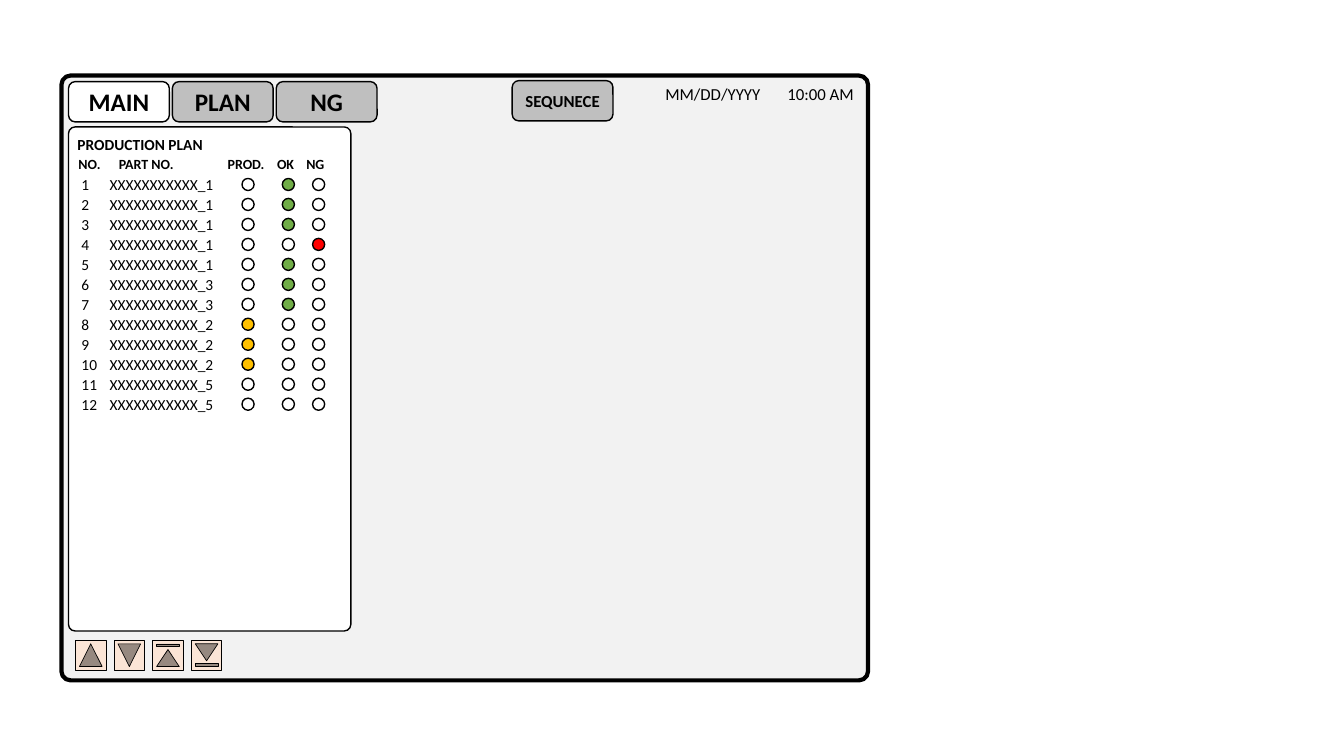
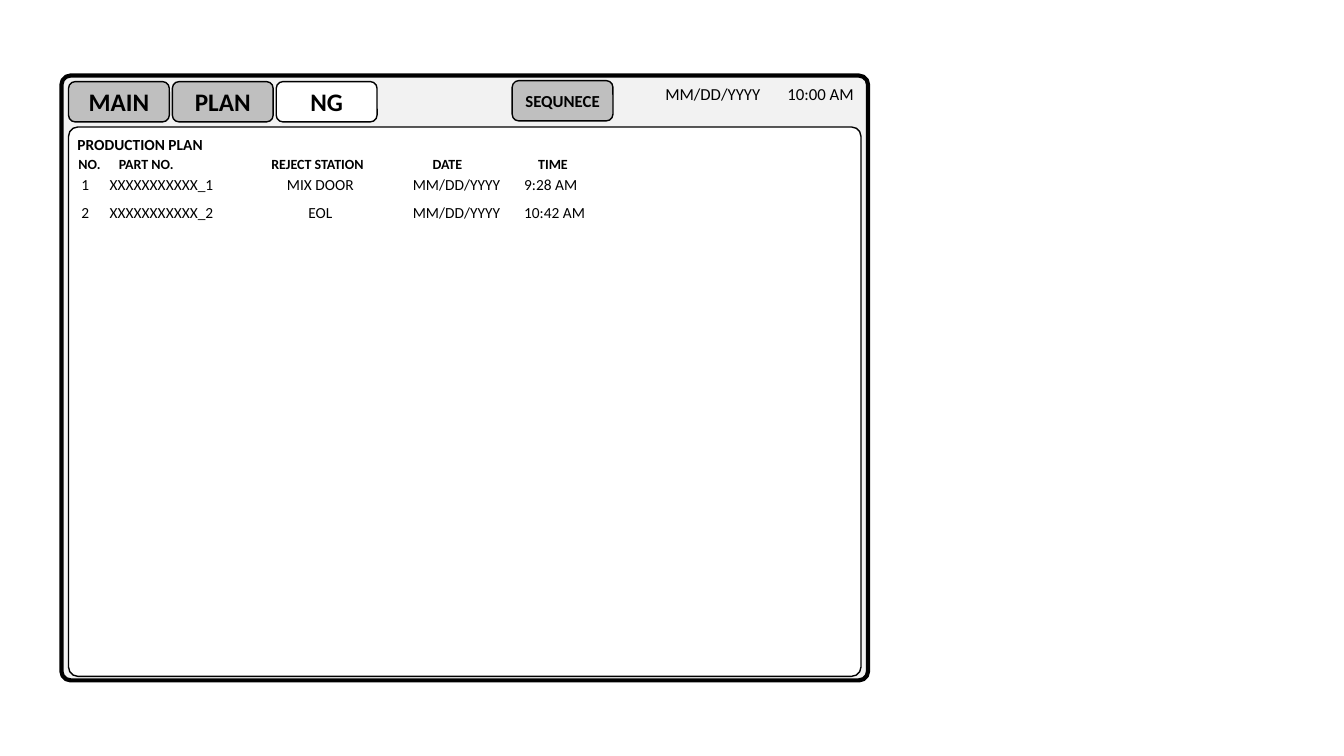
"""Build two operator-panel screens: the production plan and the NG list."""
from dataclasses import dataclass

from lxml.etree import SubElement
from pptx import Presentation
from pptx.dml.color import RGBColor as RGB
from pptx.enum.shapes import MSO_SHAPE as SHAPE
from pptx.enum.text import MSO_ANCHOR as ANCHOR, MSO_AUTO_SIZE as FIT, PP_ALIGN as ALIGN
from pptx.oxml.ns import qn
from pptx.util import Inches, Pt


@dataclass(frozen=True)
class Theme:
    """Colours and type sizes shared by both screens."""
    font: str = "Calibri"
    black: str = "000000"
    white: str = "FFFFFF"
    panel: str = "F2F2F2"
    idle: str = "BFBFBF"
    prod: str = "FFC000"
    ok: str = "70AD47"
    ng: str = "FF0000"
    scroll: str = "FBE5D6"
    tab_size: int = 18
    label_size: int = 12
    body_size: int = 11
    head_size: int = 10


T = Theme()
TABS = ("MAIN", "PLAN", "NG")
LIGHTS = {"prod": 2.4, "ok": 2.8, "ng": 3.1}
PLAN = [
    (1, "ok"), (1, "ok"), (1, "ok"), (1, "ng"), (1, "ok"), (3, "ok"),
    (3, "ok"), (2, "prod"), (2, "prod"), (2, "prod"), (5, None), (5, None),
]
REJECTS = [
    ("XXXXXXXXXXX_1", "MIX DOOR", "MM/DD/YYYY", "9:28 AM"),
    ("XXXXXXXXXXX_2", "EOL", "MM/DD/YYYY", "10:42 AM"),
]
SCROLL = [
    (SHAPE.ACTION_BUTTON_BACK_OR_PREVIOUS, 90),
    (SHAPE.ACTION_BUTTON_BACK_OR_PREVIOUS, 270),
    (SHAPE.ACTION_BUTTON_END, 270),
    (SHAPE.ACTION_BUTTON_END, 90),
]
LEFT, ROW_TOP = 0.68, 1.69
PLAN_STEP = 2.18 / 11
REJECT_STEP = 0.28
ROW_INDENT = 0.03


def apply(obj, **values):
    """Set each named value on an object."""
    for name, value in values.items():
        setattr(obj, name, value)


def write(p, text, size, bold=False):
    """Add one formatted run to a paragraph."""
    r = p.add_run()
    r.text = text
    apply(r.font, name=T.font, size=Pt(size), bold=bold)
    r.font.color.rgb = RGB.from_string(T.black)


def add_box(s, kind, at, fill, line=1, adj=None, rotation=0):
    """Add a filled and outlined preset shape."""
    sp = s.shapes.add_shape(kind, *map(Inches, at))
    sp.shadow.inherit = False
    sp.fill.solid()
    sp.fill.fore_color.rgb = RGB.from_string(fill)
    sp.line.color.rgb = RGB.from_string(T.black)
    sp.line.width = Pt(line)
    sp.rotation = rotation
    if adj is not None:
        sp.adjustments[0] = adj
    return sp


def add_button(s, text, left, top, fill, size):
    """Add a rounded button with a bold centred label."""
    sp = add_box(s, SHAPE.ROUNDED_RECTANGLE, (left, top, 1, 0.4), fill)
    sp.text_frame.vertical_anchor = ANCHOR.MIDDLE
    p = sp.text_frame.paragraphs[0]
    p.alignment = ALIGN.CENTER
    write(p, text, size, bold=True)


def add_line(s, cells, left, top, width, size, stops=(), bold=False):
    """Add one line of text whose cells are set on tab stops."""
    height = size * 1.22 / 72 + 0.1
    sp = s.shapes.add_textbox(*map(Inches, (left, top, width, height)))
    tf = sp.text_frame
    apply(tf, word_wrap=True, auto_size=FIT.SHAPE_TO_FIT_TEXT)
    p = tf.paragraphs[0]
    if stops:
        tab_list = SubElement(p._p.get_or_add_pPr(), qn("a:tabLst"))
        for pos, align in stops:
            SubElement(tab_list, qn("a:tab"), pos=str(Inches(pos)), algn=align)
    write(p, "\t".join(cells), size, bold)


def add_screen(prs, active, area, adj):
    """Add a slide with the panel frame, tabs, clock and content area."""
    s = prs.slides.add_slide(prs.slide_layouts[6])
    add_box(s, SHAPE.ROUNDED_RECTANGLE, (0.61, 0.75, 8, 6), T.panel, 3, 0.015)
    add_box(s, SHAPE.ROUNDED_RECTANGLE, (LEFT, 1.26, *area), T.white, adj=adj)
    add_line(s, ["PRODUCTION PLAN"], 0.67, 1.29, 2, T.body_size, bold=True)
    add_line(s, ["MM/DD/YYYY", "10:00 AM"], 6.5, 0.78, 2.11, T.label_size,
             [(1.21, "l")])
    for i, name in enumerate(TABS):
        fill = T.white if name == active else T.idle
        add_button(s, name, LEFT + 1.03 * i, 0.81, fill, T.tab_size)
    add_button(s, "SEQUNECE", 5.08, 0.8, T.idle, T.label_size)
    return s


def add_header(s, cells, width, stops):
    """Add the bold column headings."""
    add_line(s, cells, LEFT, 1.49, width, T.head_size, stops, bold=True)


def add_row(s, cells, top, width, stops):
    """Add one body row."""
    add_line(s, cells, LEFT + ROW_INDENT, top, width, T.body_size, stops)


def build_plan(prs):
    """Build the plan with its status lights and scroll buttons."""
    s = add_screen(prs, "MAIN", (2.8, 5), 0.023)
    add_header(s, ["NO.", "PART NO.", "PROD.", "OK", "NG"], 2.8,
               [(0.4, "l"), (1.48, "l"), (1.97, "l"), (2.26, "l")])
    for i, (part, status) in enumerate(PLAN):
        top = ROW_TOP + PLAN_STEP * i
        add_row(s, [str(i + 1), f"XXXXXXXXXXX_{part}"], top, 2, [(0.28, "l")])
        for name, left in LIGHTS.items():
            fill = getattr(T, name) if name == status else T.white
            add_box(s, SHAPE.OVAL, (left, top + 0.08, 0.12, 0.12), fill)
    for i, (kind, rotation) in enumerate(SCROLL):
        at = (0.75 + 0.383 * i, 6.35, 0.3, 0.3)
        add_box(s, kind, at, T.scroll, 0.5, rotation=rotation)


def build_rejects(prs):
    """Build the list of rejected parts."""
    s = add_screen(prs, "NG", (7.86, 5.45), 0.017)
    add_header(s, ["NO.", "PART NO.", "REJECT STATION", "DATE", "TIME"], 7.9,
               [(0.4, "l"), (2.37, "ctr"), (3.66, "ctr"), (4.56, "l")])
    stops = [(0.28, "l"), (2.37, "ctr"), (3.72, "ctr"), (4.39, "l")]
    for i, cells in enumerate(REJECTS):
        add_row(s, [str(i + 1), *cells], ROW_TOP + REJECT_STEP * i, 7.9, stops)


def main():
    """Build and save the presentation."""
    prs = Presentation()
    apply(prs, slide_width=Inches(13.33), slide_height=Inches(7.5))
    build_plan(prs)
    build_rejects(prs)
    prs.save("out.pptx")


if __name__ == "__main__":
    main()
